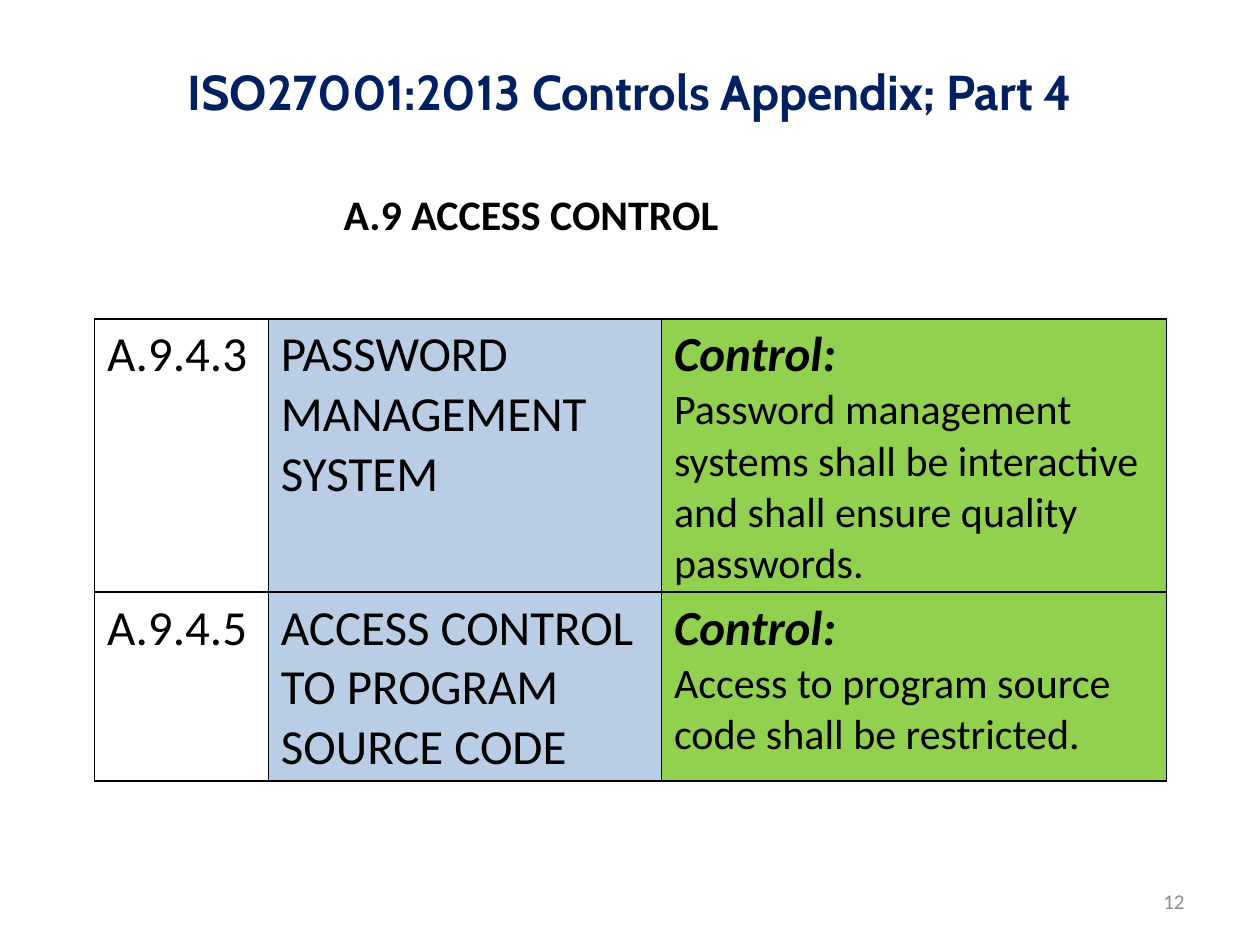
from pptx import Presentation, util as u
from pptx.dml import color
from pptx.enum import text
from pptx.oxml import parse_xml
from pptx.oxml.ns import nsdecls

WIDTH, HEIGHT = 10, 7.5
BLACK, NAVY, GREY = "000000", "002060", "8C8C8C"
COLUMN_FILLS = (None, "B9CDE5", "92D050")
COLUMN_WIDTHS = (1.38, 3.12, 4.01)
ROW_HEIGHTS = (2.17, 1.5)

HEADING = dict(size=u.Pt(28), name="Cabin", bold=True)
SECTION = dict(size=u.Pt(24), name="Calibri", bold=True)
NUMBER = dict(size=u.Pt(12), name="Calibri")
LABEL = dict(size=u.Pt(28), name="Calibri", bold=False)
CONTROL = dict(size=u.Pt(28), name="Calibri", bold=True, italic=True)
DETAIL = dict(size=u.Pt(24), name="Calibri", bold=False)

CONTROLS = [
    ("A.9.4.3", "PASSWORD MANAGEMENT SYSTEM",
     "Password management systems shall be interactive and shall ensure "
     "quality passwords."),
    ("A.9.4.5", "ACCESS CONTROL TO PROGRAM SOURCE CODE",
     "Access to program source code shall be restricted."),
]


def rgb(value):
    return color.RGBColor.from_string(value)


def write(paragraph, words, style, ink=BLACK):
    run = paragraph.add_run()
    run.text = words
    for key, value in style.items():
        setattr(run.font, key, value)
    run.font.color.rgb = rgb(ink)


def add_line(slide, box, words, style, ink=BLACK, align="LEFT",
             anchor="MIDDLE", wrap=True):
    frame = slide.shapes.add_textbox(*map(u.Inches, box)).text_frame
    frame.word_wrap = wrap
    frame.vertical_anchor = getattr(text.MSO_ANCHOR, anchor)
    frame.paragraphs[0].alignment = getattr(text.PP_ALIGN, align)
    write(frame.paragraphs[0], words, style, ink)


def outline(cell):
    """Thin black line on all four sides, placed ahead of the cell fill."""
    for index, side in enumerate(("lnL", "lnR", "lnT", "lnB")):
        cell._tc.get_or_add_tcPr().insert(index, parse_xml(
            f'<a:{side} {nsdecls("a")} w="12700"><a:solidFill>'
            f'<a:srgbClr val="{BLACK}"/></a:solidFill></a:{side}>'))


def add_controls(slide, left, top):
    box = (left, top, sum(COLUMN_WIDTHS), sum(ROW_HEIGHTS))
    table = slide.shapes.add_table(len(CONTROLS), len(COLUMN_WIDTHS),
                                   *map(u.Inches, box)).table
    table.first_row = table.horz_banding = False
    for column, width in zip(table.columns, COLUMN_WIDTHS):
        column.width = u.Inches(width)
    for row, height, (code, topic, detail) in zip(table.rows, ROW_HEIGHTS, CONTROLS):
        row.height = u.Inches(height)
        contents = ([(code, LABEL)], [(topic, LABEL)],
                    [("Control:", CONTROL), (detail, DETAIL)])
        for cell, fill, lines in zip(row.cells, COLUMN_FILLS, contents):
            cell.margin_bottom = 0
            if fill:
                cell.fill.solid()
                cell.fill.fore_color.rgb = rgb(fill)
            else:
                cell.fill.background()
            outline(cell)
            frame = cell.text_frame
            for index, (words, style) in enumerate(lines):
                paragraph = frame.add_paragraph() if index else frame.paragraphs[0]
                write(paragraph, words, style)


def build_slide(deck):
    slide = deck.slides.add_slide(deck.slide_layouts[6])
    margin = WIDTH * 0.05
    # Title and section heading
    add_line(slide, (margin, 0.23, WIDTH - 2 * margin, 0.98),
             "ISO27001:2013 Controls Appendix; Part 4", HEADING, NAVY, "CENTER")
    add_line(slide, (2.63, 1.45, 3.2, 0.5), "A.9 ACCESS CONTROL", SECTION,
             anchor="TOP", wrap=False)
    # Table of controls
    add_controls(slide, margin * 1.5, 2.53)
    # Page number
    add_line(slide, (WIDTH - margin - 2.33, HEIGHT - 0.55, 2.33, 0.4),
             "12", NUMBER, GREY, "RIGHT")


def main():
    deck = Presentation()
    deck.slide_width, deck.slide_height = u.Inches(WIDTH), u.Inches(HEIGHT)
    build_slide(deck)
    deck.save("out.pptx")


if __name__ == "__main__":
    main()
